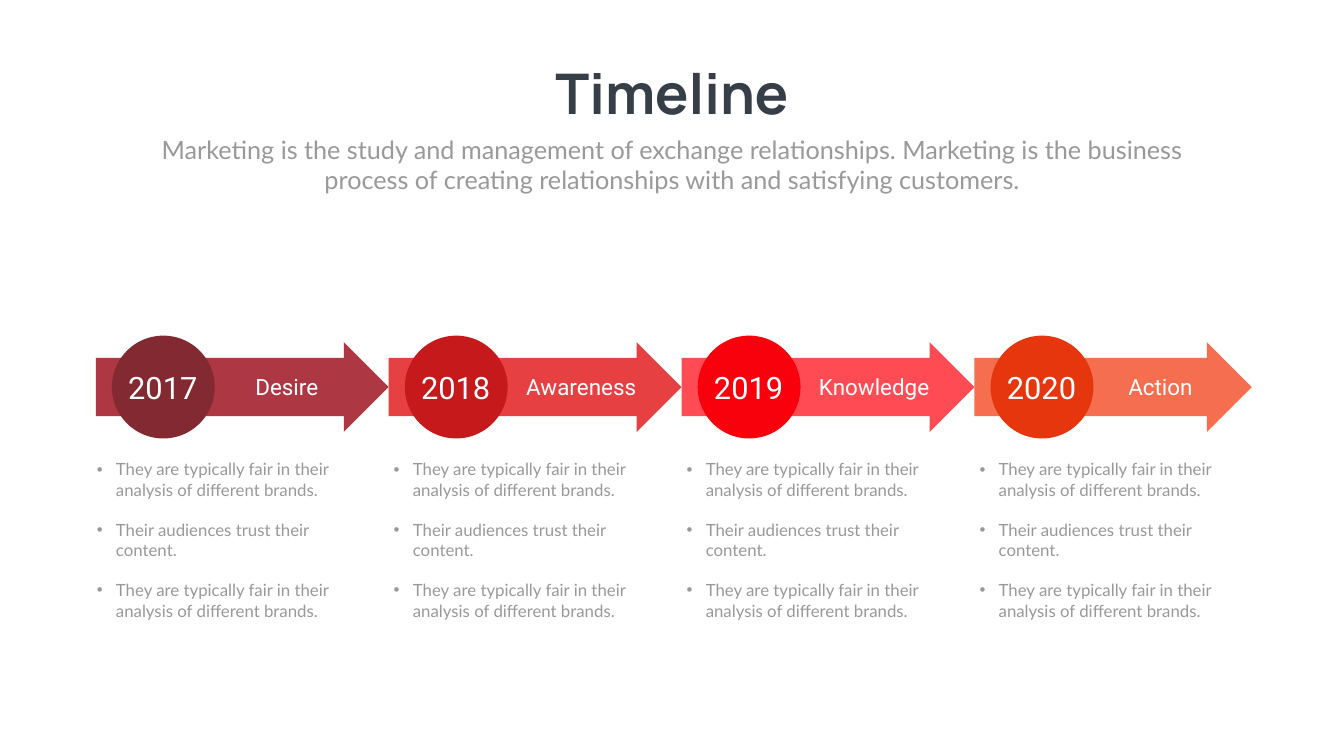
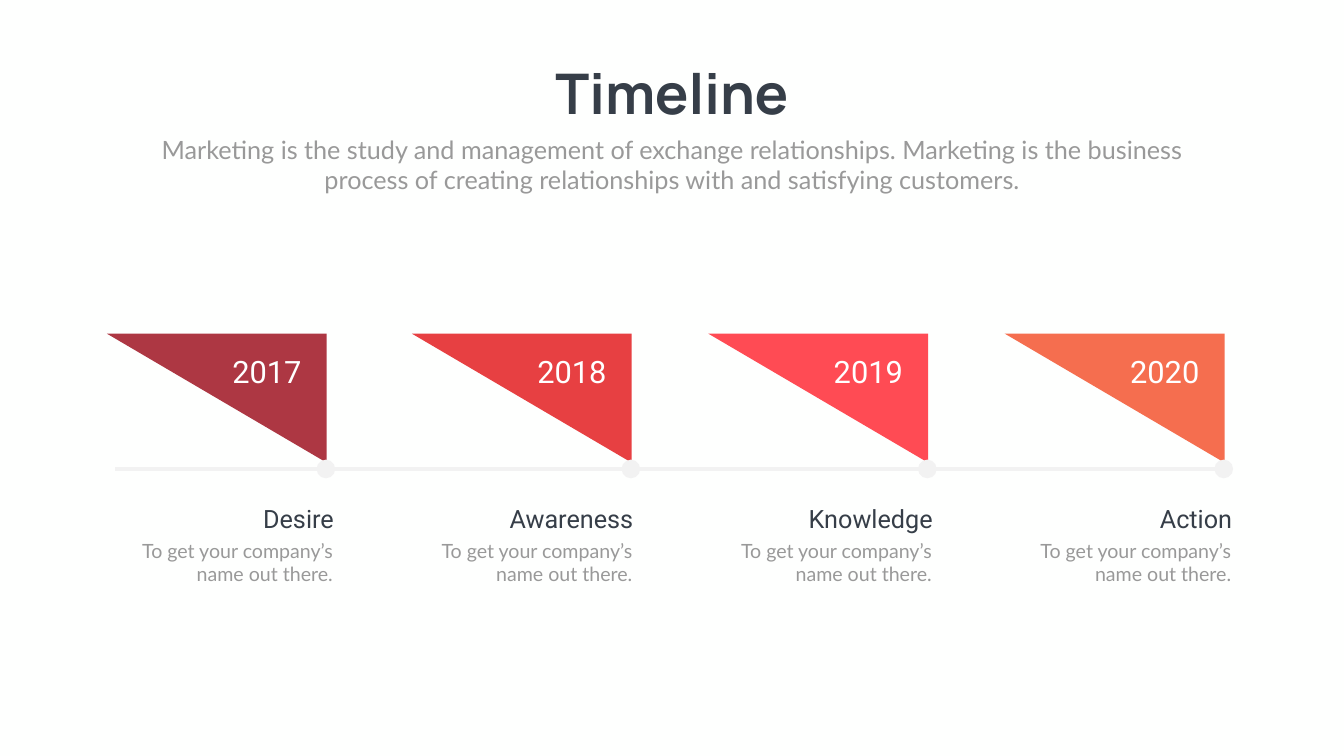
"""Build two four-stage timeline slides."""
from dataclasses import dataclass

from lxml.etree import SubElement
from pptx import Presentation
from pptx.dml.color import RGBColor
from pptx.enum.shapes import MSO_CONNECTOR, MSO_SHAPE
from pptx.enum.text import MSO_ANCHOR, MSO_AUTO_SIZE, PP_ALIGN
from pptx.oxml.ns import qn
from pptx.util import Inches, Pt


@dataclass(frozen=True)
class TextStyle:
    font: str
    size: int
    color: str
    bold: bool = False


@dataclass(frozen=True)
class Stage:
    year: str
    name: str
    fill: str
    dark: str


@dataclass(frozen=True)
class Theme:
    background: str = "FEFFFE"
    rail: str = "F2F2F2"
    title: TextStyle = TextStyle("Manrope", 80, "363E48", True)
    subtitle: TextStyle = TextStyle("Lato", 36, "999999")
    year: TextStyle = TextStyle("Roboto", 44, "FFFFFF")
    arrow_label: TextStyle = TextStyle("Roboto", 32, "FFFFFF")
    bullet: TextStyle = TextStyle("Lato", 24, "999999")
    caption: TextStyle = TextStyle("Lato", 28, "999999")
    stage_name: TextStyle = TextStyle("Roboto", 36, "363E48")
    stages: tuple = (
        Stage("2017", "Desire", "AD3743", "822932"),
        Stage("2018", "Awareness", "E74042", "C5191B"),
        Stage("2019", "Knowledge", "FF4B54", "F8000C"),
        Stage("2020", "Action", "F56E4F", "E6360D"),
    )


TITLE = "Timeline"
SUBTITLE = (
    "Marketing is the study and management of exchange relationships. "
    "Marketing is the business process of creating relationships with "
    "and satisfying customers."
)
FAIR = "They are typically fair in their analysis of different brands."
BULLETS = (FAIR, "Their audiences trust their content.", FAIR)
CAPTION = "To get your company’s name out there."
TITLE_ONLY, COMPARISON = 5, 4


class Painter:
    """Hold the theme and the current page, and draw each kind of element."""

    def __init__(self, deck, theme):
        self.deck = deck
        self.theme = theme
        self.page = None
        fill = deck.slide_master.background.fill
        fill.solid()
        fill.fore_color.rgb = RGBColor.from_string(theme.background)

    def start_page(self, layout):
        self.page = self.deck.slides.add_slide(self.deck.slide_layouts[layout])
        title = self.page.shapes.title
        self.place(title, 10.74, 1.12, 5.18, 1.45)
        self.fill_text(title.text_frame, [TITLE], self.theme.title, wrap=False)
        self.text(2.92, 2.61, 20.82, 1.31, SUBTITLE, self.theme.subtitle)

    def place(self, shape, left, top, width, height):
        shape.left, shape.top = Inches(left), Inches(top)
        shape.width, shape.height = Inches(width), Inches(height)

    def fill_text(self, frame, lines, style, align=PP_ALIGN.CENTER, wrap=True, bulleted=False):
        frame.word_wrap = wrap
        frame.auto_size = MSO_AUTO_SIZE.SHAPE_TO_FIT_TEXT
        frame.vertical_anchor = MSO_ANCHOR.TOP
        for index, line in enumerate(lines):
            para = frame.add_paragraph() if index else frame.paragraphs[0]
            para.text = line
            para.alignment = align
            para.space_before = Pt(style.size * 1.2 if index else 0)
            if bulleted:
                self.add_bullet(para)
            para.font.name = style.font
            para.font.size = Pt(style.size)
            para.font.bold = style.bold
            para.font.color.rgb = RGBColor.from_string(style.color)

    def add_bullet(self, para):
        properties = para._p.get_or_add_pPr()
        properties.set("marL", str(Inches(0.38)))
        properties.set("indent", str(Inches(-0.38)))
        SubElement(properties, qn("a:buFont")).set("typeface", "Arial")
        SubElement(properties, qn("a:buChar")).set("char", "•")

    def text(self, left, top, width, height, words, style, align=PP_ALIGN.CENTER):
        box = self.page.shapes.add_textbox(
            Inches(left), Inches(top), Inches(width), Inches(height))
        self.fill_text(box.text_frame, [words], style, align)

    def bullet_list(self, holder, left, top, width, height):
        self.place(holder, left, top, width, height)
        self.fill_text(
            holder.text_frame, BULLETS, self.theme.bullet, PP_ALIGN.LEFT, bulleted=True)

    def shape(self, kind, left, top, width, height, color):
        shape = self.page.shapes.add_shape(
            kind, Inches(left), Inches(top), Inches(width), Inches(height))
        shape.shadow.inherit = False
        shape.fill.solid()
        shape.fill.fore_color.rgb = RGBColor.from_string(color)
        shape.line.fill.background()
        return shape

    def line(self, start, end, top, color, width):
        line = self.page.shapes.add_connector(
            MSO_CONNECTOR.STRAIGHT, Inches(start), Inches(top), Inches(end), Inches(top))
        line.line.color.rgb = RGBColor.from_string(color)
        line.line.width = Pt(width)
        SubElement(line._element.spPr, qn("a:effectLst"))


def draw_arrow_timeline(painter):
    theme = painter.theme
    painter.start_page(COMPARISON)
    holders = [holder for holder in painter.page.placeholders
               if holder.placeholder_format.idx]
    arrow_widths = (5.81, 5.81, 5.81, 5.5)
    label_spans = ((2.61, 2.36), (2.17, 3.3), (2.17, 3.3), (2.51, 2.36))
    list_offsets = (-0.08, 0, 0, 0)
    columns = zip(theme.stages, holders, arrow_widths, label_spans, list_offsets)
    for index, (stage, holder, arrow_width, label, list_offset) in enumerate(columns):
        left = 1.9 + 5.81 * index
        label_offset, label_width = label
        arrow = painter.shape(MSO_SHAPE.RIGHT_ARROW, left, 6.79, arrow_width, 1.78, stage.fill)
        arrow.adjustments[0] = 0.65
        arrow.adjustments[1] = 0.5
        painter.shape(MSO_SHAPE.OVAL, left + 0.32, 6.66, 2.04, 2.04, stage.dark)
        painter.text(left + 0.15, 7.26, 2.36, 0.84, stage.year, theme.year)
        painter.text(left + label_offset, 7.36, label_width, 0.64, stage.name, theme.arrow_label)
        painter.bullet_list(holder, left + list_offset, 9.06, 4.81, 3.33)


def draw_flag_timeline(painter):
    theme = painter.theme
    painter.start_page(TITLE_ONLY)
    painter.line(2.29, 24.29, 9.31, theme.rail, 5)
    flag_lefts = (2.12, 8.17, 14.05, 19.93)
    for index, (stage, flag_left) in enumerate(zip(theme.stages, flag_lefts)):
        caption_left = 2.11 + 5.94 * index
        flag = painter.shape(
            MSO_SHAPE.RIGHT_TRIANGLE, flag_left, 6.62, 4.36, 2.56, stage.fill)
        flag.rotation = 180
        painter.shape(MSO_SHAPE.OVAL, flag_left + 4.16, 9.12, 0.37, 0.37, theme.rail)
        painter.text(flag_left + 1.98, 6.95, 2.39, 0.84, stage.year, theme.year)
        painter.text(
            caption_left, 10.64, 4.59, 1.04, CAPTION, theme.caption, PP_ALIGN.RIGHT)
        painter.text(
            caption_left + 0.61, 9.93, 4, 0.71, stage.name, theme.stage_name, PP_ALIGN.RIGHT)


def main():
    deck = Presentation()
    deck.slide_width, deck.slide_height = Inches(26.66), Inches(15)
    painter = Painter(deck, Theme())
    draw_arrow_timeline(painter)
    draw_flag_timeline(painter)
    deck.save("out.pptx")


if __name__ == "__main__":
    main()
